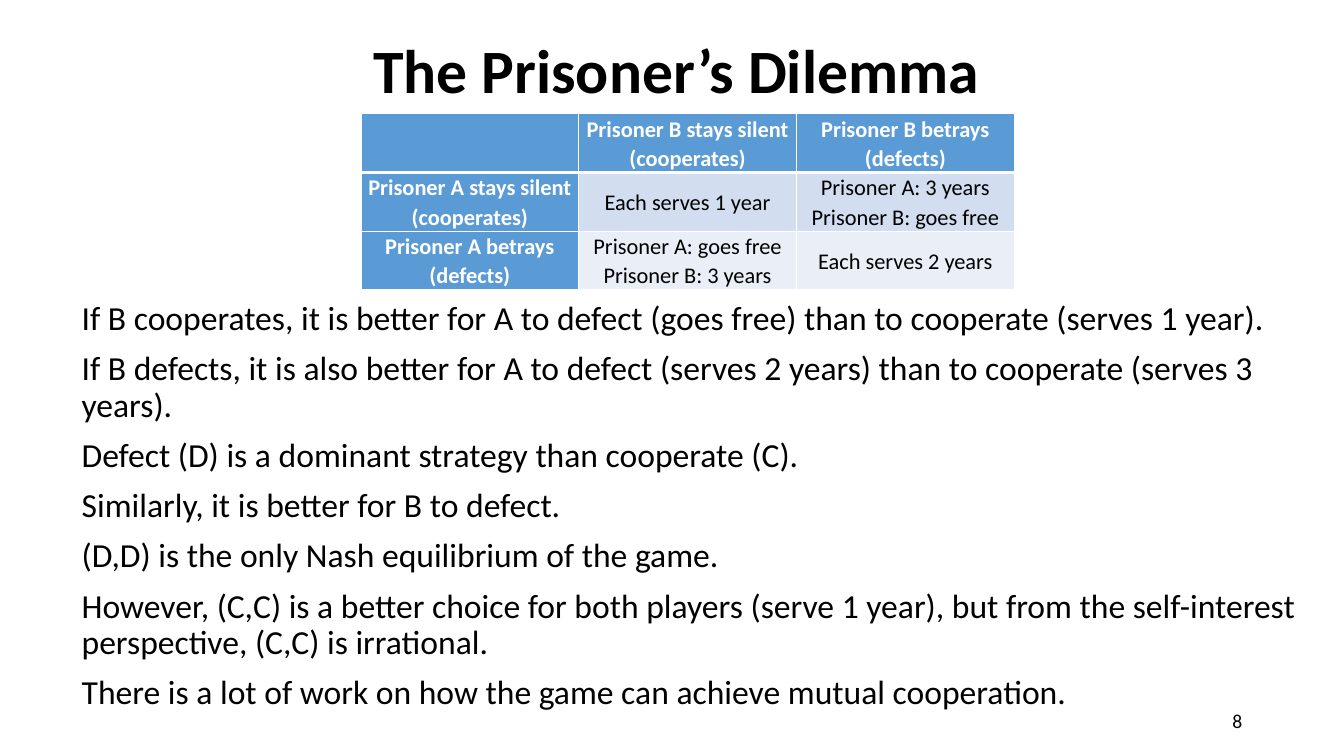
from dataclasses import dataclass

from lxml import etree
from pptx import Presentation
from pptx.dml.color import RGBColor
from pptx.enum.text import MSO_ANCHOR, MSO_AUTO_SIZE, PP_ALIGN
from pptx.oxml.ns import qn
from pptx.util import Inches, Pt

LEFT, CENTER, RIGHT = PP_ALIGN.LEFT, PP_ALIGN.CENTER, PP_ALIGN.RIGHT
TOP, MIDDLE, BOTTOM = MSO_ANCHOR.TOP, MSO_ANCHOR.MIDDLE, MSO_ANCHOR.BOTTOM

# Content
TITLE = "The Prisoner’s Dilemma"
PAYOFFS = [
    ["", "Prisoner B stays silent (cooperates)", "Prisoner B betrays (defects)"],
    ["Prisoner A stays silent (cooperates)", "Each serves 1 year",
     "Prisoner A: 3 years\nPrisoner B: goes free"],
    ["Prisoner A betrays (defects)", "Prisoner A: goes free\nPrisoner B: 3 years",
     "Each serves 2 years"],
]
ARGUMENT = [
    "If B cooperates, it is better for A to defect (goes free) than to cooperate (serves 1 year).",
    "If B defects, it is also better for A to defect (serves 2 years) than to cooperate (serves 3 years).",
    "Defect (D) is a dominant strategy than cooperate (C).",
    "Similarly, it is better for B to defect.",
    "(D,D) is the only Nash equilibrium of the game.",
    "However, (C,C) is a better choice for both players (serve 1 year), but from the "
    "self-interest perspective, (C,C) is irrational.",
    "There is a lot of work on how the game can achieve mutual cooperation.",
]
PAGE_NUMBER = "8"


@dataclass(frozen=True)
class Theme:
    font: str = "Calibri"
    ink: str = "000000"
    paper: str = "FFFFFF"
    header: str = "5B9BD5"
    bands: tuple = ("EAEFF7", "D2DEEF")
    title_size: int = 44
    body_size: int = 24
    table_size: int = 16
    number_size: int = 14


THEME = Theme()

# Layout in inches: left, top, width, height
SLIDE_SIZE = (13.33, 7.5)
TITLE_BOX = (1.35, 0.33, 10.72, 0.78)
BODY_BOX = (0.71, 2.94, 12.27, 4.21)
NUMBER_BOX = (9.42, 6.95, 3, 0.4)
TABLE_ORIGIN = (3.58, 1.13)
COLUMN_WIDTH, ROW_HEIGHT = 2.16, 0.58
CELL_MARGIN = 0.07


def place(shape, area):
    shape.left, shape.top, shape.width, shape.height = map(Inches, area)


def write(frame, text, size, color=THEME.ink, bold=False, align=LEFT, spacing=1.0, before=0):
    frame.text = text
    for para in frame.paragraphs:
        para.alignment = align
        para.line_spacing = spacing
        para.space_before = Pt(before)
        for span in para.runs:
            span.font.name = THEME.font
            span.font.size = Pt(size)
            span.font.bold = bold
            span.font.color.rgb = RGBColor.from_string(color)


def set_frame(frame, anchor):
    frame.word_wrap = True
    frame.auto_size = MSO_AUTO_SIZE.NONE
    frame.vertical_anchor = anchor


def add_borders(cell, widths):
    properties = cell._tc.get_or_add_tcPr()
    for side, width in widths.items():
        line = etree.SubElement(properties, qn(f"a:ln{side}"), w=str(Pt(width)))
        fill = etree.SubElement(line, qn("a:solidFill"))
        etree.SubElement(fill, qn("a:srgbClr"), val=THEME.paper)


def fill_cell(cell, text, row, column):
    is_header = row == 0 or column == 0
    write(cell.text_frame, text, THEME.table_size,
          THEME.paper if is_header else THEME.ink, is_header, CENTER, 1.07)
    cell.vertical_anchor = MIDDLE
    cell.margin_left = cell.margin_right = Inches(CELL_MARGIN)
    cell.margin_top = cell.margin_bottom = 0
    # The rule under the header row is heavier
    add_borders(cell, {"L": 1, "R": 1, "T": 3 if row == 1 else 1, "B": 3 if row == 0 else 1})
    cell.fill.solid()
    color = THEME.header if is_header else THEME.bands[row % 2]
    cell.fill.fore_color.rgb = RGBColor.from_string(color)


def add_payoff_table(page):
    rows, columns = len(PAYOFFS), len(PAYOFFS[0])
    size = (columns * COLUMN_WIDTH, rows * ROW_HEIGHT)
    table = page.shapes.add_table(rows, columns, *map(Inches, TABLE_ORIGIN + size)).table
    for column in table.columns:
        column.width = Inches(COLUMN_WIDTH)
    for row, texts in enumerate(PAYOFFS):
        table.rows[row].height = Inches(ROW_HEIGHT)
        for column, text in enumerate(texts):
            fill_cell(table.cell(row, column), text, row, column)


def main():
    deck = Presentation()
    deck.slide_width, deck.slide_height = map(Inches, SLIDE_SIZE)
    page = deck.slides.add_slide(deck.slide_layouts[0])

    # Title and argument
    title, body = page.placeholders
    place(title, TITLE_BOX)
    set_frame(title.text_frame, BOTTOM)
    write(title.text_frame, TITLE, THEME.title_size, bold=True, align=CENTER, spacing=0.9)
    place(body, BODY_BOX)
    set_frame(body.text_frame, TOP)
    write(body.text_frame, "\n".join(ARGUMENT), THEME.body_size, spacing=0.9, before=10)

    # Page number
    number = page.shapes.add_textbox(*map(Inches, NUMBER_BOX))
    set_frame(number.text_frame, MIDDLE)
    write(number.text_frame, PAGE_NUMBER, THEME.number_size, align=RIGHT)

    # Payoff table
    add_payoff_table(page)
    deck.save("out.pptx")


if __name__ == "__main__":
    main()
